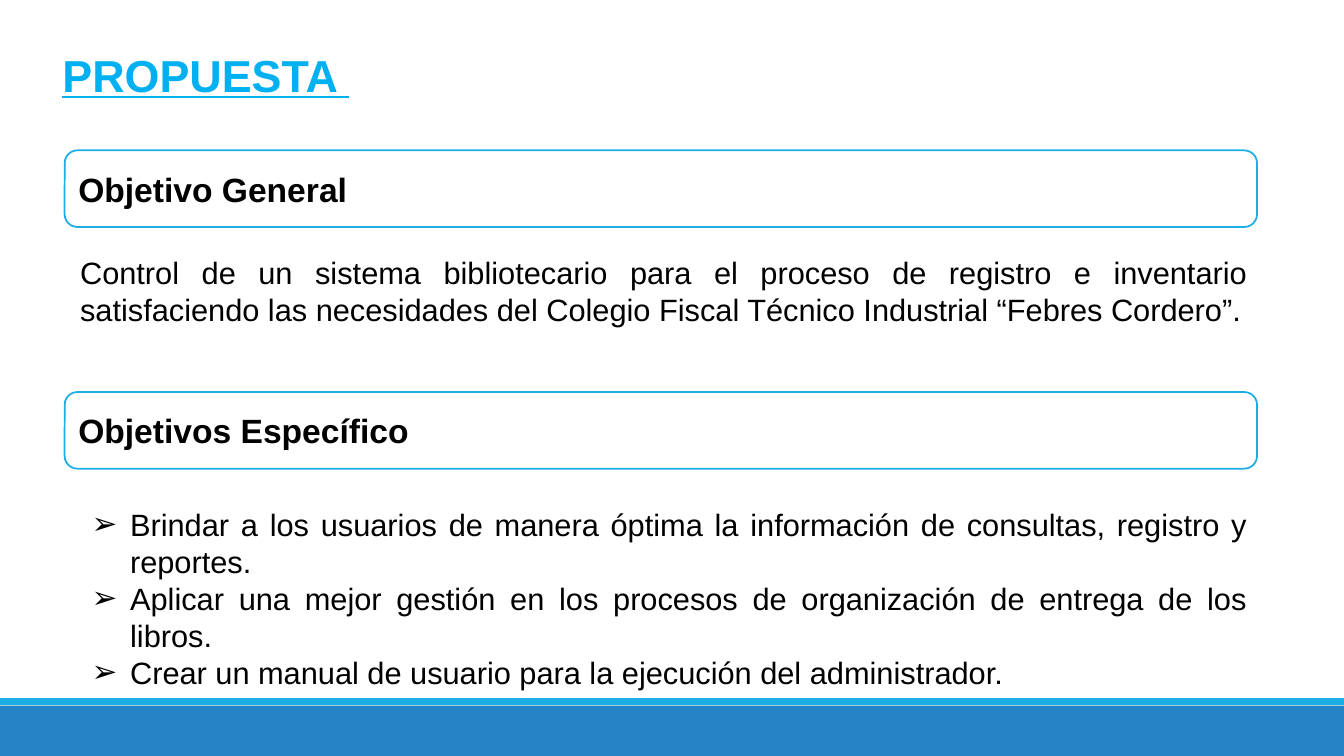
from dataclasses import dataclass

from lxml.etree import SubElement
from pptx import Presentation
from pptx.dml.color import RGBColor
from pptx.enum.shapes import MSO_SHAPE
from pptx.enum.text import MSO_ANCHOR, MSO_AUTO_SIZE, PP_ALIGN
from pptx.oxml.ns import qn
from pptx.util import Cm, Pt


@dataclass(frozen=True)
class Theme:
    font: str = "Arial"
    title: str = "00B0F0"
    text: str = "000000"
    paper: str = "FFFFFF"
    accent: str = "1CADE4"
    footer: str = "2683C6"
    title_size: int = 32
    heading_size: int = 24
    body_size: int = 22


THEME = Theme()
WIDTH, HEIGHT = 33.87, 19.05
HEADING_LEFT, HEADING_WIDTH, HEADING_HEIGHT = 1.63, 30.05, 1.93

GENERAL_GOAL = (
    "Control de un sistema bibliotecario para el proceso de registro e inventario "
    "satisfaciendo las necesidades del Colegio Fiscal Técnico Industrial “Febres Cordero”."
)
SPECIFIC_GOALS = [
    "Brindar a los usuarios de manera óptima la información de consultas, registro y reportes.",
    "Aplicar una mejor gestión en los procesos de organización de entrega de los libros.",
    "Crear un manual de usuario para la ejecución del administrador. ",
]


def write(paragraph, text, size=THEME.body_size, color=THEME.text,
          bold=False, underline=False, align=PP_ALIGN.LEFT):
    paragraph.alignment = align
    run = paragraph.add_run()
    run.text = text
    font = run.font
    font.name, font.size = THEME.font, Pt(size)
    font.bold, font.underline = bold, underline
    font.color.rgb = RGBColor.from_string(color)


def add_bullet(paragraph, indent=0.97, mark="➢"):
    properties = paragraph._p.get_or_add_pPr()
    properties.set("marL", str(Cm(indent)))
    properties.set("indent", str(-Cm(indent)))
    SubElement(properties, qn("a:buFont")).set("typeface", THEME.font)
    SubElement(properties, qn("a:buChar")).set("char", mark)


def add_panel(slide, kind, left, top, width, height, fill, line=None):
    panel = slide.shapes.add_shape(kind, Cm(left), Cm(top), Cm(width), Cm(height))
    panel.shadow.inherit = False
    panel.fill.solid()
    panel.fill.fore_color.rgb = RGBColor.from_string(fill)
    if line:
        panel.line.color.rgb = RGBColor.from_string(line)
        panel.line.width = Pt(1.25)
    else:
        panel.line.fill.background()
    return panel


def add_heading(slide, text, top):
    heading = add_panel(slide, MSO_SHAPE.ROUNDED_RECTANGLE, HEADING_LEFT, top,
                        HEADING_WIDTH, HEADING_HEIGHT, THEME.paper, THEME.accent)
    heading.text_frame.vertical_anchor = MSO_ANCHOR.MIDDLE
    write(heading.text_frame.paragraphs[0], text, size=THEME.heading_size, bold=True)


def add_body(slide, texts, left, top, width, height, bullets=False):
    frame = slide.shapes.add_textbox(Cm(left), Cm(top), Cm(width), Cm(height)).text_frame
    frame.word_wrap = True
    for index, text in enumerate(texts):
        paragraph = frame.add_paragraph() if index else frame.paragraphs[0]
        write(paragraph, text, align=PP_ALIGN.JUSTIFY)
        if bullets:
            add_bullet(paragraph)


def set_title(slide, text):
    title = slide.shapes.title
    title.left, title.top, title.width, title.height = Cm(1.32), Cm(1.07), Cm(7.8), Cm(1.63)
    frame = title.text_frame
    frame.word_wrap = False
    frame.auto_size = MSO_AUTO_SIZE.NONE
    frame.vertical_anchor = MSO_ANCHOR.TOP
    write(frame.paragraphs[0], text, size=THEME.title_size, color=THEME.title,
          bold=True, underline=True)


def main():
    presentation = Presentation()
    presentation.slide_width, presentation.slide_height = Cm(WIDTH), Cm(HEIGHT)
    slide = presentation.slides.add_slide(presentation.slide_layouts[5])

    # Footer bands
    add_panel(slide, MSO_SHAPE.RECTANGLE, 0, 17.78, WIDTH, 1.27, THEME.footer)
    add_panel(slide, MSO_SHAPE.RECTANGLE, 0, 17.59, WIDTH, 0.18, THEME.accent)

    set_title(slide, "PROPUESTA ")

    # General goal
    add_heading(slide, "Objetivo General", 3.79)
    add_body(slide, [GENERAL_GOAL], 1.77, 6.27, 29.92, 2.9)

    # Specific goals
    add_heading(slide, "Objetivos Específico ", 9.88)
    add_body(slide, SPECIFIC_GOALS, 2.06, 12.62, 29.62, 4.95, bullets=True)

    presentation.save("out.pptx")


main()
